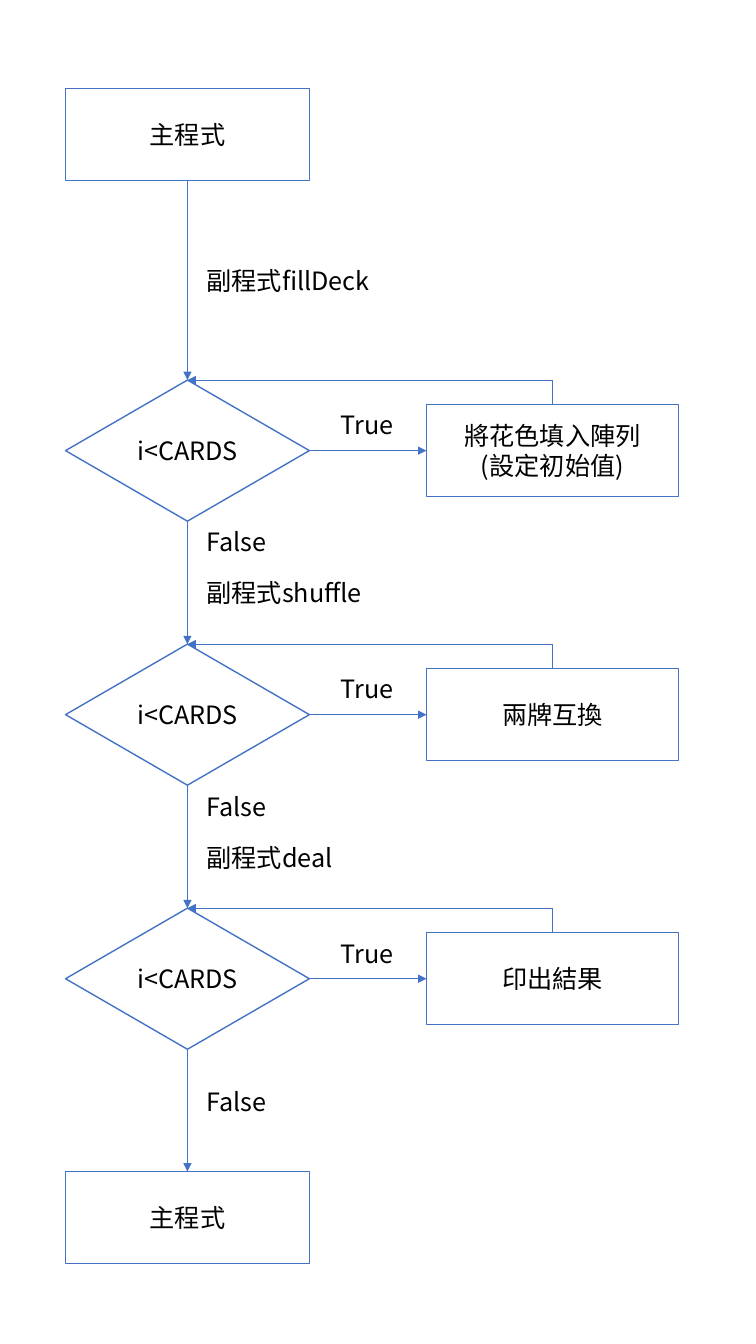
from lxml import etree
from pptx import Presentation
from pptx.dml.color import RGBColor
from pptx.enum.shapes import MSO_CONNECTOR, MSO_SHAPE
from pptx.enum.text import MSO_ANCHOR, PP_ALIGN
from pptx.oxml.ns import qn
from pptx.util import Pt

RECTANGLE, DIAMOND = MSO_SHAPE.RECTANGLE, MSO_SHAPE.DIAMOND
STRAIGHT = MSO_CONNECTOR.STRAIGHT
LEFT, CENTER = PP_ALIGN.LEFT, PP_ALIGN.CENTER
MIDDLE = MSO_ANCHOR.MIDDLE

BLUE = RGBColor(0x44, 0x72, 0xC4)
WHITE = RGBColor(0xFF, 0xFF, 0xFF)
BLACK = RGBColor(0, 0, 0)
FONT = "Noto Sans CJK SC"

# Connection sites of rectangles and diamonds
TOP_SITE, LEFT_SITE, BOTTOM_SITE, RIGHT_SITE = range(4)

# Lengths in points
SLIDE_W, SLIDE_H = 540, 960
COLUMN_X, COLUMN_W = 46.8, 174.2
AXIS_X = COLUMN_X + COLUMN_W / 2
LABEL_X = 140.4
BOX_H = 65.6
START_Y, END_Y = 63.4, 836.8
LOOP_Y, LOOP_PITCH = 271.5, 188.6
DIAMOND_H = 100.8
ACTION_X, ACTION_W = 304.6, 180
LABEL_H = 28.8

# Subprogram, loop action, offset of the False label below the diamond
LOOPS = [
    ("fillDeck", "將花色填入陣列\n(設定初始值)", 0),
    ("shuffle", "兩牌互換", 0.6),
    ("deal", "印出結果", 23),
]
SUBPROGRAM_Y = [180, 403, 592.5]


def write(shape, text, align):
    frame = shape.text_frame
    frame.word_wrap = True
    frame.vertical_anchor = MIDDLE
    frame.text = text
    for paragraph in frame.paragraphs:
        paragraph.alignment = align
        for run in paragraph.runs:
            run.font.size = Pt(18)
            run.font.name = FONT
            run.font.color.rgb = BLACK
            east_asian = etree.SubElement(run.font._element, qn("a:ea"))
            east_asian.set("typeface", FONT)


def add_node(slide, preset, x, y, width, height, text):
    node = slide.shapes.add_shape(preset, Pt(x), Pt(y), Pt(width), Pt(height))
    node.shadow.inherit = False
    node.fill.solid()
    node.fill.fore_color.rgb = WHITE
    node.line.color.rgb = BLUE
    node.line.width = Pt(1)
    write(node, text, CENTER)
    return node


def add_label(slide, x, y, width, height, text, align=LEFT):
    label = slide.shapes.add_textbox(Pt(x), Pt(y), Pt(width), Pt(height))
    write(label, text, align)


def add_line(slide, x1, y1, x2, y2, arrow=True):
    line = slide.shapes.add_connector(STRAIGHT, Pt(x1), Pt(y1), Pt(x2), Pt(y2))
    line.line.color.rgb = BLUE
    line.line.width = Pt(0.5)
    if arrow:
        etree.SubElement(line.line._get_or_add_ln(), qn("a:tailEnd"), type="triangle")
    etree.SubElement(line._element.spPr, qn("a:effectLst"))
    return line


def add_arrow(slide, source, source_site, target, target_site):
    arrow = add_line(slide, 0, 0, 0, 0)
    arrow.begin_connect(source, source_site)
    arrow.end_connect(target, target_site)


def add_loop(slide, y, action_text, false_offset):
    """Draw a test with its repeated action; y is the top of the diamond."""
    action_y = y + (DIAMOND_H - BOX_H) / 2
    action_axis = ACTION_X + ACTION_W / 2
    test = add_node(slide, DIAMOND, COLUMN_X, y, COLUMN_W, DIAMOND_H, "i<CARDS")
    action = add_node(slide, RECTANGLE, ACTION_X, action_y, ACTION_W, BOX_H, action_text)

    # True branch and its way back to the test
    add_arrow(slide, test, RIGHT_SITE, action, LEFT_SITE)
    add_label(slide, 231.1, action_y, 62.6, LABEL_H, "True", CENTER)
    add_line(slide, action_axis, action_y, action_axis, y, arrow=False)
    add_line(slide, action_axis, y, AXIS_X, y)

    # False branch
    add_label(slide, LABEL_X, y + DIAMOND_H + false_offset, 101.5, LABEL_H, "False")
    return test


def add_flowchart(slide):
    # Main program at the start
    previous = add_node(slide, RECTANGLE, COLUMN_X, START_Y, COLUMN_W, BOX_H, "主程式")

    # One loop for each subprogram
    for index, (subprogram, action, false_offset) in enumerate(LOOPS):
        test = add_loop(slide, LOOP_Y + index * LOOP_PITCH, action, false_offset)
        add_arrow(slide, previous, BOTTOM_SITE, test, TOP_SITE)
        add_label(slide, LABEL_X, SUBPROGRAM_Y[index], 180, 40.3, "副程式" + subprogram)
        previous = test

    # Return to the main program
    end = add_node(slide, RECTANGLE, COLUMN_X, END_Y, COLUMN_W, BOX_H, "主程式")
    add_arrow(slide, previous, BOTTOM_SITE, end, TOP_SITE)


def main():
    presentation = Presentation()
    presentation.slide_width, presentation.slide_height = Pt(SLIDE_W), Pt(SLIDE_H)
    slide = presentation.slides.add_slide(presentation.slide_layouts[6])
    add_flowchart(slide)
    presentation.save("out.pptx")


if __name__ == "__main__":
    main()
